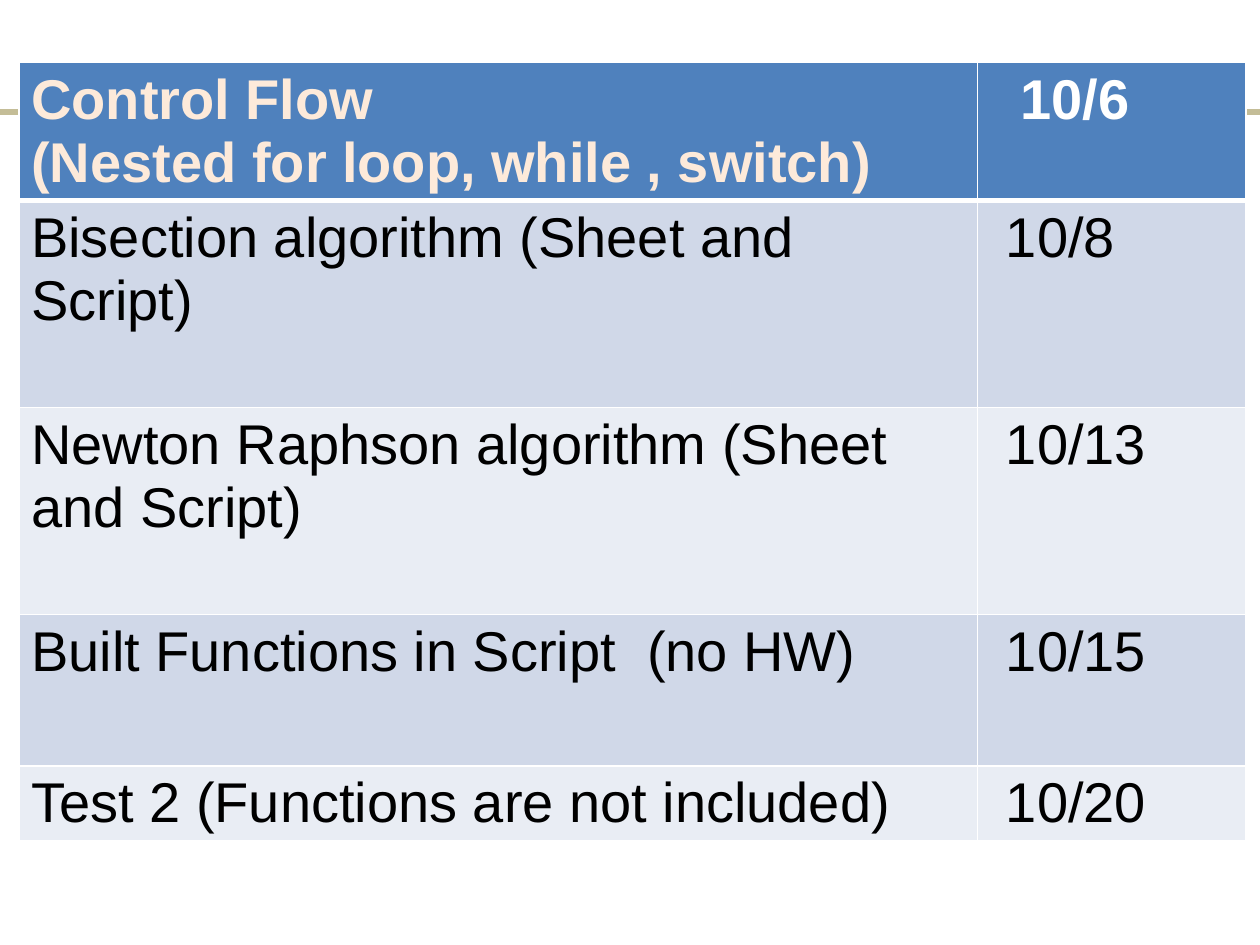
from lxml import etree
from pptx import Presentation
from pptx.dml.color import RGBColor
from pptx.enum.shapes import MSO_CONNECTOR
from pptx.oxml.ns import qn
from pptx.util import Cm, Pt

STRAIGHT = MSO_CONNECTOR.STRAIGHT
WHITE, BLACK, CREAM = "FFFFFF", "000000", "FDEADA"
HEADER, BAND_DARK, BAND_LIGHT = "4F81BD", "D0D8E8", "E9EDF4"


def rgb(value):
    return RGBColor.from_string(value)


def write(tf, text, font="Arial", size=32, color=BLACK, bold=False):
    p = tf.paragraphs[0]
    for i, line in enumerate(text.split("\n")):
        if i:
            p.add_line_break()
        r = p.add_run()
        r.text = line
        r.font.name = font
        r.font.size = Pt(size)
        r.font.bold = bold
        r.font.color.rgb = rgb(color)


def set_borders(cell, **widths):
    tc_pr = cell._tc.get_or_add_tcPr()
    for i, side in enumerate("LRTB"):
        ln = etree.Element(qn(f"a:ln{side}"), w=str(Pt(widths.get(side, 1))))
        fill = etree.SubElement(ln, qn("a:solidFill"))
        etree.SubElement(fill, qn("a:srgbClr"), val=WHITE)
        tc_pr.insert(i, ln)


class Deck:
    def __init__(self, prs):
        self.s = prs.slides.add_slide(prs.slide_layouts[6])

    def rule(self, x1, y1, x2, y2, color, width):
        line = self.s.shapes.add_connector(STRAIGHT, Cm(x1), Cm(y1), Cm(x2), Cm(y2))
        line.line.color.rgb = rgb(color)
        line.line.width = Pt(width)
        etree.SubElement(line._element.spPr, qn("a:effectLst"))

    def table(self, x, y, widths, heights, rows):
        sp = self.s.shapes.add_table(len(rows), len(widths), Cm(x), Cm(y),
                                     Cm(sum(widths)), Cm(sum(heights)))
        table = sp.table
        table.horz_banding = False
        for column, width in zip(table.columns, widths):
            column.width = Cm(width)
        for i, (row, height, texts) in enumerate(zip(table.rows, heights, rows)):
            row.height = Cm(height)
            head = i == 0
            fill = HEADER if head else (BAND_LIGHT, BAND_DARK)[i % 2]
            colors = (CREAM, WHITE) if head else (BLACK, BLACK)
            indents = (0.25, 0.86 if head else 0.57)
            for cell, text, color, indent in zip(row.cells, texts, colors, indents):
                cell.fill.solid()
                cell.fill.fore_color.rgb = rgb(fill)
                cell.margin_left = Cm(indent)
                set_borders(cell, T=3 if i == 1 else 1, B=3 if head else 1)
                write(cell.text_frame, text, color=color, bold=head)


prs = Presentation()
prs.slide_width, prs.slide_height = Cm(25.4), Cm(19.05)

schedule = [
    ("Control Flow\n(Nested for loop, while , switch)", "10/6"),
    ("Bisection algorithm (Sheet and Script)", "10/8"),
    ("Newton Raphson algorithm (Sheet and Script)", "10/13"),
    ("Built Functions in Script  (no HW)", "10/15"),
    ("Test 2 (Functions are not included)", "10/20"),
]

deck = Deck(prs)
deck.rule(0, 2.26, 25.4, 2.26, "C4BD97", 3)
deck.table(0.38, 1.26, (19.33, 5.41), (2.77, 4.17, 4.17, 3.05, 1.5), schedule)

prs.save("out.pptx")
